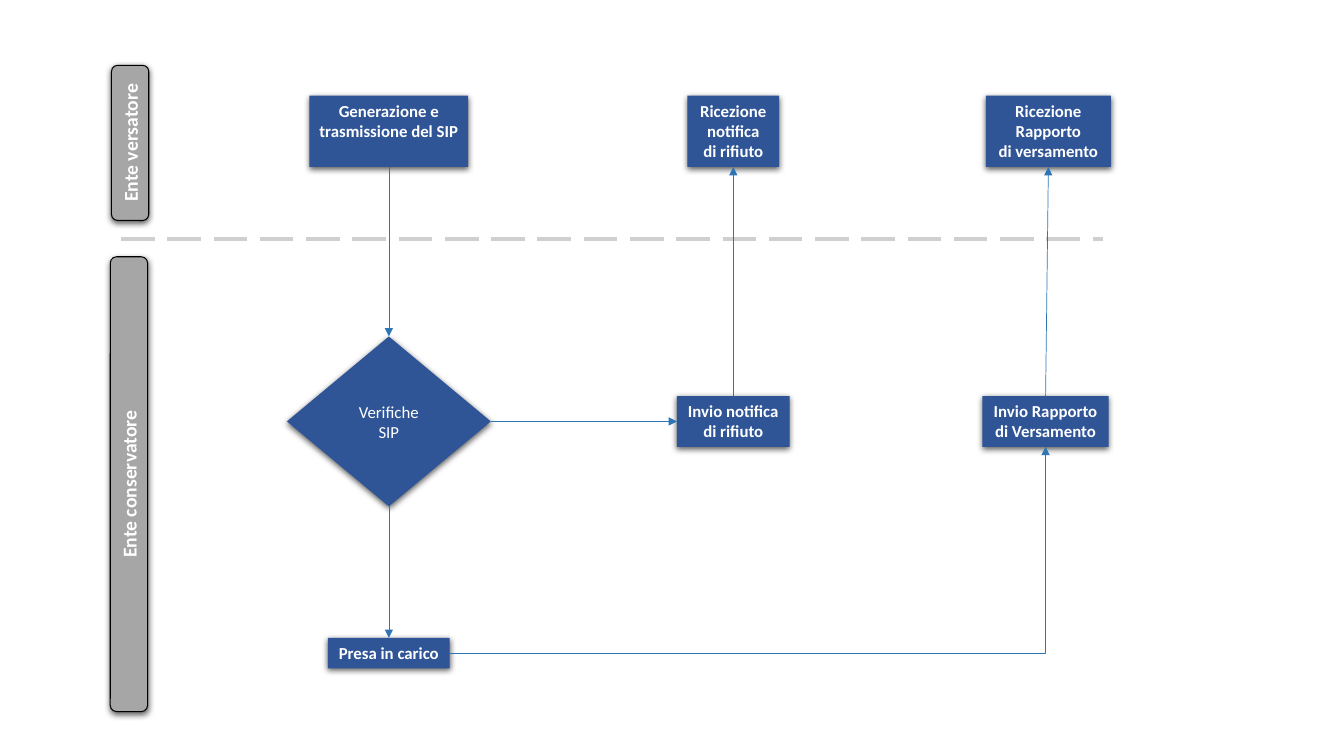
from lxml.etree import SubElement
from pptx import Presentation
from pptx.dml.color import RGBColor
from pptx.enum.dml import MSO_LINE
from pptx.enum.shapes import MSO_CONNECTOR, MSO_SHAPE
from pptx.enum.text import MSO_ANCHOR, MSO_AUTO_SIZE, PP_ALIGN
from pptx.oxml.ns import qn
from pptx.util import Cm, Pt

BLUE, ARROW_BLUE, GREY = "2F5597", "2E75B6", "A6A6A6"
LIGHT_GREY, WHITE, BLACK = "D0CECE", "FFFFFF", "000000"
TOP, LEFT, BOTTOM, RIGHT = range(4)


def color(hex_string):
    return RGBColor.from_string(hex_string)


def add_shadow(shape):
    shape.shadow.inherit = False
    effects = shape._element.spPr.find(qn("a:effectLst"))
    shadow = SubElement(effects, qn("a:outerShdw"), blurRad=str(Pt(4.5)),
                        dist=str(Pt(1.5)), dir="5400000", rotWithShape="0")
    black = SubElement(shadow, qn("a:srgbClr"), val=BLACK)
    SubElement(black, qn("a:alpha"), val="63000")


def write_text(shape, text, size=12, bold=True, wrap=False,
               anchor=MSO_ANCHOR.TOP, auto_size=MSO_AUTO_SIZE.SHAPE_TO_FIT_TEXT):
    frame = shape.text_frame
    frame.text = text
    frame.word_wrap = wrap
    frame.vertical_anchor = anchor
    frame.auto_size = auto_size
    for paragraph in frame.paragraphs:
        paragraph.alignment = PP_ALIGN.CENTER
        font = paragraph.font
        font.name, font.size, font.bold = "Calibri", Pt(size), bold
        font.color.rgb = color(WHITE)


def add_block(slide, kind, center_x, center_y, width, height, fill, text, **text_format):
    """Add a shadowed shape around a centre point, in centimetres."""
    shape = slide.shapes.add_shape(kind, Cm(center_x - width / 2), Cm(center_y - height / 2),
                                   Cm(width), Cm(height))
    shape.fill.solid()
    shape.fill.fore_color.rgb = color(fill)
    shape.line.fill.background()
    add_shadow(shape)
    write_text(shape, text, **text_format)
    return shape


def add_step(slide, center_x, center_y, width, height, text, **text_format):
    return add_block(slide, MSO_SHAPE.RECTANGLE, center_x, center_y, width, height,
                     BLUE, text, **text_format)


def add_lane_label(slide, center_x, center_y, length, text):
    label = add_block(slide, MSO_SHAPE.ROUNDED_RECTANGLE, center_x, center_y, length, 0.94,
                      GREY, text, size=14, wrap=True)
    label.rotation = 270
    label.line.color.rgb = color(BLACK)
    label.line.width = Pt(0.75)


def add_line(slide, kind, ends, line_color, width):
    line = slide.shapes.add_connector(kind, *(Cm(value) for value in ends))
    line.line.color.rgb = color(line_color)
    line.line.width = Pt(width)
    SubElement(line._element.spPr, qn("a:effectLst"))
    return line


def add_arrow(slide, start, start_side, end, end_side, kind=MSO_CONNECTOR.STRAIGHT):
    arrow = add_line(slide, kind, (0, 0, 0, 0), ARROW_BLUE, 0.5)
    arrow.begin_connect(start, start_side)
    arrow.end_connect(end, end_side)
    SubElement(arrow.line._get_or_add_ln(), qn("a:tailEnd"), type="triangle")
    return arrow


def main():
    presentation = Presentation()
    presentation.slide_width, presentation.slide_height = Cm(33.87), Cm(19.05)
    slide = presentation.slides.add_slide(presentation.slide_layouts[6])

    divider = add_line(slide, MSO_CONNECTOR.STRAIGHT, (3.05, 6.03, 27.8, 6.03), LIGHT_GREY, 3)
    divider.line.dash_style = MSO_LINE.LONG_DASH

    sip_x, refusal_x, report_x = 9.8, 18.48, 26.38
    submitter_y, checks_y, intake_y = 3.31, 10.62, 16.46

    generation = add_step(slide, sip_x, submitter_y, 4, 1.8,
                          "Generazione e trasmissione del SIP", wrap=True)
    refusal_received = add_step(slide, refusal_x, submitter_y, 2.31, 1.8,
                                "Ricezione\nnotifica\ndi rifiuto")
    report_received = add_step(slide, report_x + 0.04, submitter_y, 3.15, 1.8,
                               "Ricezione\nRapporto\ndi versamento")
    checks = add_block(slide, MSO_SHAPE.DIAMOND, sip_x, checks_y, 5.14, 4.28, BLUE,
                       "Verifiche SIP", bold=False, wrap=True,
                       anchor=MSO_ANCHOR.MIDDLE, auto_size=MSO_AUTO_SIZE.NONE)
    refusal_sent = add_step(slide, refusal_x, checks_y, 2.84, 1.28,
                            "Invio notifica\ndi rifiuto")
    report_sent = add_step(slide, report_x - 0.03, checks_y, 3.18, 1.28,
                           "Invio Rapporto\ndi Versamento")
    intake = add_step(slide, sip_x, intake_y, 3.07, 0.77, "Presa in carico")

    add_arrow(slide, generation, BOTTOM, checks, TOP)
    add_arrow(slide, checks, RIGHT, refusal_sent, LEFT)
    add_arrow(slide, checks, BOTTOM, intake, TOP)
    add_arrow(slide, refusal_sent, TOP, refusal_received, BOTTOM)
    add_arrow(slide, report_sent, TOP, report_received, BOTTOM)
    elbow = add_arrow(slide, intake, RIGHT, report_sent, BOTTOM, MSO_CONNECTOR.ELBOW)
    elbow._element.spPr.find(qn("a:prstGeom")).set("prst", "bentConnector2")

    add_lane_label(slide, 3.28, 3.6, 3.91, "Ente versatore")
    add_lane_label(slide, 3.25, 12.2, 11.46, "Ente conservatore")

    presentation.save("out.pptx")


if __name__ == "__main__":
    main()
